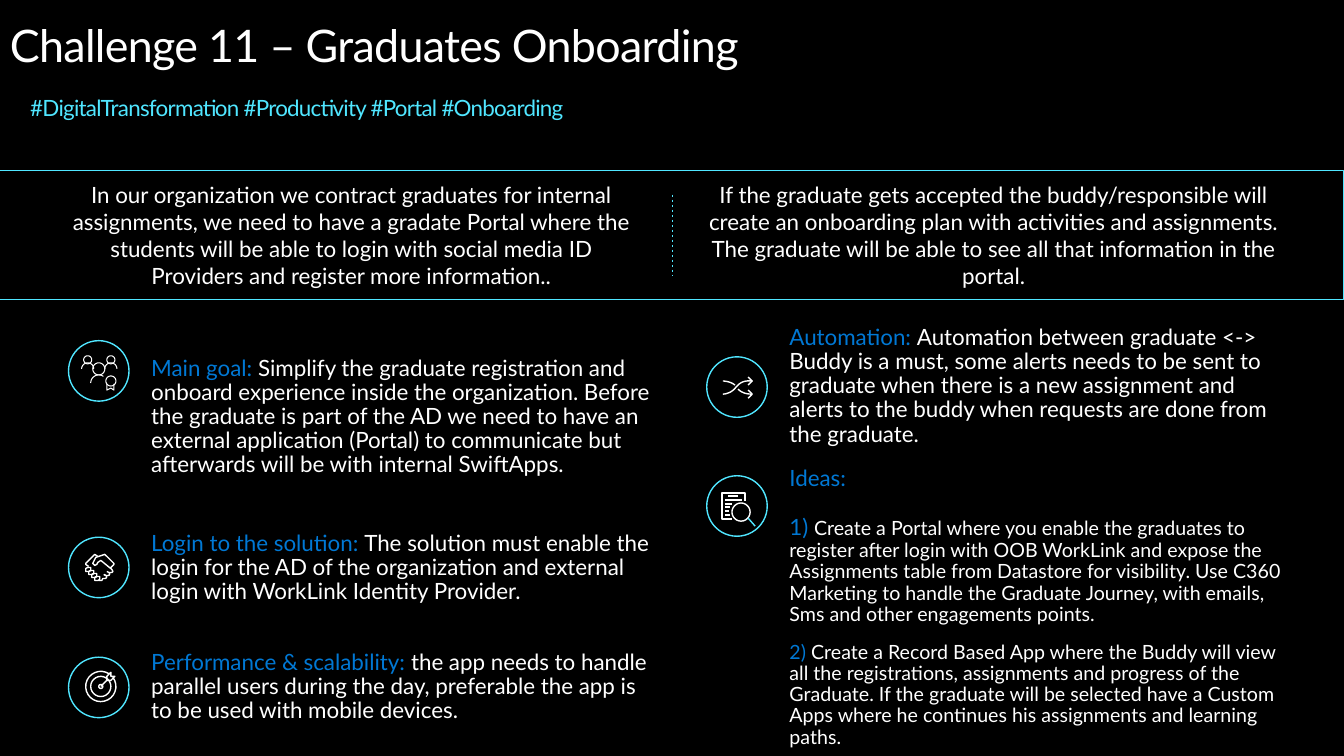
from math import cos, radians, sin

from lxml.etree import SubElement
from pptx import Presentation
from pptx.dml.color import RGBColor
from pptx.enum.dml import MSO_LINE
from pptx.enum.shapes import MSO_CONNECTOR, MSO_SHAPE
from pptx.enum.text import MSO_ANCHOR, PP_ALIGN
from pptx.oxml.ns import qn
from pptx.util import Pt

PX = 9144
FINE = 20
BLACK = RGBColor(0x00, 0x00, 0x00)
WHITE = RGBColor(0xFF, 0xFF, 0xFF)
CYAN = RGBColor(0x50, 0xE6, 0xFF)
BLUE = RGBColor(0x00, 0x78, 0xD4)
TIGHT = dict(margin_left=0, margin_top=0, margin_right=0, margin_bottom=0)
MIDDLE = dict(TIGHT, vertical_anchor=MSO_ANCHOR.MIDDLE)
DENSE = dict(line_spacing=0.9)


def apply(item, style):
    for key, value in style.items():
        setattr(item, key, value)


def write(shapes, box, paras, frame, track=None):
    text = shapes.add_textbox(*(n * PX for n in box)).text_frame
    apply(text, dict(frame, word_wrap=True))
    for i, (style, runs) in enumerate(paras):
        para = text.add_paragraph() if i else text.paragraphs[0]
        apply(para, style)
        for words, size, color in runs:
            run = para.add_run()
            run.text = words
            apply(run.font, dict(name="Lato", size=Pt(size)))
            run.font.color.rgb = color
            if track:
                run._r.get_or_add_rPr().set("spc", str(track))


def rule(shapes, start, end, color, width, dash=None):
    line = shapes.add_connector(MSO_CONNECTOR.STRAIGHT, *(n * PX for n in start + end))
    line.line.color.rgb = color
    apply(line.line, dict(width=Pt(width), dash_style=dash))
    SubElement(line._element.spPr, qn("a:effectLst"))


def plate(shapes, kind, box, width):
    shape = shapes.add_shape(kind, *(n * PX for n in box))
    shape.shadow.inherit = False
    shape.fill.solid()
    shape.fill.fore_color.rgb = BLACK
    shape.line.color.rgb = CYAN
    shape.line.width = Pt(width)


def arc(x, y, r, start=0, end=360):
    steps = 24
    turns = [radians(start + (end - start) * i / steps) for i in range(steps + 1)]
    return [(x + r * cos(t), y + r * sin(t)) for t in turns]


def bend(a, b, c, d):
    steps = [i / 12 for i in range(13)]
    return [tuple((1 - t) ** 3 * p + 3 * t * (1 - t) ** 2 * q + 3 * t * t * (1 - t) * r + t ** 3 * s
                  for p, q, r, s in zip(a, b, c, d)) for t in steps]


def trace(shapes, left, top, strokes, width):
    strokes = [[((left + x) * FINE, (top + y) * FINE) for x, y in s] for s in strokes]
    pen = shapes.build_freeform(*strokes[0][0], scale=PX / FINE)
    for i, stroke in enumerate(strokes):
        if i:
            pen.move_to(*stroke[0])
        pen.add_line_segments(stroke[1:], close=False)
    shape = pen.convert_to_shape()
    shape.shadow.inherit = False
    shape.fill.background()
    shape.line.color.rgb = WHITE
    shape.line.width = Pt(width)


def finger(x, y):
    return [(x + a, y + b) for a, b in
            [(0, 0), (0, 3), (3, 3), (5, 2), (5, -1), (2, -1), (0, 0)]]


PEOPLE = [
    arc(30, 28, 6), arc(30, 42, 8, 180, 305),
    arc(19, 19, 4), arc(19, 28, 6, 180, 360),
    arc(42, 19, 4), arc(42, 28, 6, 180, 360),
    arc(42, 40, 5), [(38, 43), (38, 49), (42, 47), (45, 49), (45, 43)],
]
HANDS = [
    [(20, 29), (17, 27), (17, 26), (26, 17), (29, 19)],
    *(finger(17 + 3 * i, 31 + 3 * i) for i in range(4)),
    [(41, 31), (45, 27), (45, 26), (36, 17), (27, 20), (24, 26), (26, 28), (28, 27),
     (29, 25), (32, 23), (43, 32), (44, 34), (43, 35), (40, 35), (38, 34)],
    [(35, 37), (37, 38), (40, 38), (41, 36), (40, 35)],
    [(30, 42), (30, 43), (33, 43), (34, 41), (37, 41), (38, 39), (37, 38), (35, 37)],
]
TARGET = [
    arc(32, 29, 15, -37, 304), arc(32, 29, 10), arc(32, 29, 2),
    [(32, 29), (38, 23)],
    [(46, 19), (42, 19), (42, 15), (38, 19), (38, 23), (42, 23), (46, 19)],
]
CROSS = [
    bend((45, 37), (38, 37), (34, 35), (31, 32)),
    bend((28, 28), (23, 24), (16, 24), (16, 24)),
    bend((45, 24), (35, 23), (32, 27), (29, 30))
    + bend((29, 30), (24, 37), (16, 37), (16, 37)),
    *([(41, y - 4), (45, y), (41, y + 4)] for y in (24, 37)),
]
SEARCH = [
    [(25, 43), (15, 43), (15, 17), (38, 17), (38, 25)],
    *([(x, y), (end, y)] for x, end, y in [(21, 31, 20), (18, 35, 24), (18, 25, 28),
                                           (18, 23, 31), (18, 22, 35), (18, 23, 39)]),
    arc(34, 36, 9),
]


def header(shapes, left, top, wide):
    write(shapes, (left, top, wide - 140, 54),
          [({}, [("Challenge 11 – Graduates Onboarding", 32, WHITE)])], {}, -50)
    write(shapes, (left + 30, top + 83, wide - 239, 24),
          [(DENSE, [("#DigitalTransformation #Productivity #Portal #Onboarding", 16, CYAN)])],
          TIGHT, -50)


def banner(shapes, left, top, wide, high):
    plate(shapes, MSO_SHAPE.RECTANGLE, (left, top, wide, high), 0.75)
    for gap, words in [
        (64, "In our organization we contract graduates for internal assignments, we need to have "
             "a gradate Portal where the students will be able to login with social media ID "
             "Providers and register more information.."),
        (701, "If the graduate gets accepted the buddy/responsible will create an onboarding plan "
              "with activities and assignments. The graduate will be able to see all that "
              "information in the portal."),
    ]:
        write(shapes, (left + gap, top + 11, 569, high - 21),
              [(dict(alignment=PP_ALIGN.CENTER), [(words, 16, WHITE)])], MIDDLE)
    mid = left + wide // 2 + 1
    rule(shapes, (mid, top + 24), (mid, top + 105), CYAN, 0.5, MSO_LINE.DASH)


def topic(shapes, left, top, high, drop, icon, paras, width=1):
    write(shapes, (left + 82, top, 496, high), paras, MIDDLE)
    plate(shapes, MSO_SHAPE.OVAL, (left, top + drop, 60, 60), 1)
    trace(shapes, left, top + drop, icon, width)


def pair(head, body):
    return [(DENSE, [(head + " ", 16, BLUE), (body, 16, WHITE)])]


def goals(shapes, left, top):
    topic(shapes, left, top, 154, 1, PEOPLE, pair(
        "Main goal:",
        "Simplify the graduate registration and onboard experience inside the organization. "
        "Before the graduate is part of the AD we need to have an external application (Portal) "
        "to communicate but afterwards will be with internal SwiftApps."), 0.75)
    topic(shapes, left, top + 180, 93, 16, HANDS, pair(
        "Login to the solution:",
        "The solution must enable the login for the AD of the organization and external login "
        "with WorkLink Identity Provider."))
    topic(shapes, left, top + 298, 93, 17, TARGET, pair(
        "Performance & scalability:",
        "the app needs to handle parallel users during the day, preferable the app is to be used "
        "with mobile devices."))


def plans(shapes, left, top):
    topic(shapes, left, top, 93, 17, CROSS, pair(
        "Automation:",
        "Automation between graduate <-> Buddy is a must, some alerts needs to be sent to "
        "graduate when there is a new assignment and alerts to the buddy when requests are done "
        "from the graduate."))
    topic(shapes, left, top + 119, 294, 16, SEARCH, [
        (DENSE, [("Ideas:", 16, BLUE)]),
        (dict(DENSE, space_before=Pt(18)), [
            ("1) ", 16, BLUE),
            ("Create a Portal where you enable the graduates to register after login with OOB "
             "WorkLink and expose the Assignments table from Datastore for visibility. Use C360 "
             "Marketing to handle the Graduate Journey, with emails, Sms and other engagements "
             "points.", 14, WHITE)]),
        (dict(DENSE, space_before=Pt(12)), [
            ("2) ", 14, BLUE),
            ("Create a Record Based App where the Buddy will view all the registrations, "
             "assignments and progress of the Graduate. If the graduate will be selected have a "
             "Custom Apps where he continues his assignments and learning paths.", 14, WHITE)]),
    ])
    rule(shapes, (left + 48, top + 185), (left + 41, top + 177), CYAN, 1)


def main():
    deck = Presentation()
    apply(deck, dict(slide_width=1333 * PX, slide_height=750 * PX))
    slide = deck.slides.add_slide(deck.slide_layouts[6])
    slide.background.fill.solid()
    slide.background.fill.fore_color.rgb = BLACK
    header(slide.shapes, 0, 13, 1333)
    banner(slide.shapes, 0, 169, 1333, 128)
    goals(slide.shapes, 68, 337)
    plans(slide.shapes, 701, 337)
    deck.save("out.pptx")


if __name__ == "__main__":
    main()
